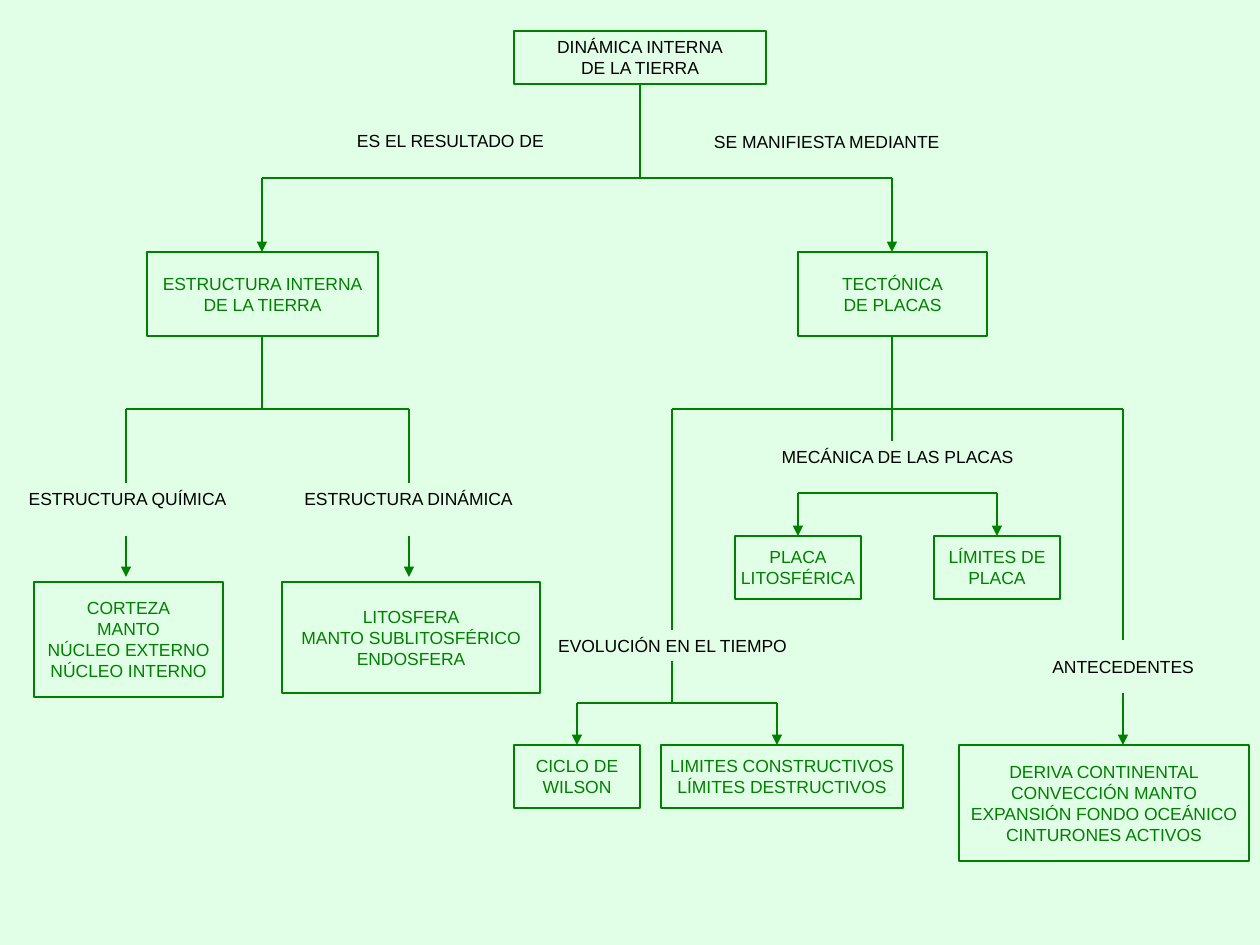
from dataclasses import dataclass

from lxml import etree
from pptx import Presentation
from pptx.dml.color import RGBColor
from pptx.enum.shapes import MSO_CONNECTOR, MSO_SHAPE
from pptx.enum.text import MSO_ANCHOR, PP_ALIGN
from pptx.oxml.ns import qn
from pptx.util import Emu, Pt

RECTANGLE = MSO_SHAPE.RECTANGLE
STRAIGHT = MSO_CONNECTOR.STRAIGHT
MIDDLE, TOP = MSO_ANCHOR.MIDDLE, MSO_ANCHOR.TOP
CENTER, LEFT = PP_ALIGN.CENTER, PP_ALIGN.LEFT


@dataclass(frozen=True)
class Theme:
    background: RGBColor = RGBColor(0xE1, 0xFF, 0xE6)
    green: RGBColor = RGBColor(0x00, 0x80, 0x00)
    black: RGBColor = RGBColor(0x00, 0x00, 0x00)
    font: str = "Arial"
    text_size: Pt = Pt(10)
    thin: Pt = Pt(0.75)
    thick: Pt = Pt(1.5)


THEME = Theme()
EMU_PER_PX = 914400 / 126


def px(*lengths):
    return [Emu(round(length * EMU_PER_PX)) for length in lengths]


def write_lines(shape, lines, color, alignment, anchor):
    frame = shape.text_frame
    frame.word_wrap = False
    frame.vertical_anchor = anchor
    frame.margin_left, frame.margin_right = px(11, 11)
    frame.margin_top, frame.margin_bottom = px(5, 5)
    for index, line in enumerate(lines):
        paragraph = frame.paragraphs[0] if index == 0 else frame.add_paragraph()
        paragraph.alignment = alignment
        run = paragraph.add_run()
        run.text = line
        run.font.name = THEME.font
        run.font.size = THEME.text_size
        run.font.color.rgb = color


presentation = Presentation()
presentation.slide_width, presentation.slide_height = px(1260, 945)
slide = presentation.slides.add_slide(presentation.slide_layouts[6])
slide.background.fill.solid()
slide.background.fill.fore_color.rgb = THEME.background

# Concept boxes: left, top, width, height, text colour, lines
boxes = [
    (514, 31, 252, 53, THEME.black, ["DINÁMICA INTERNA", "DE LA TIERRA"]),
    (147, 252, 231, 84, THEME.green, ["ESTRUCTURA INTERNA", "DE LA TIERRA"]),
    (798, 252, 189, 84, THEME.green, ["TECTÓNICA", "DE PLACAS"]),
    (34, 582, 189, 115, THEME.green,
     ["CORTEZA", "MANTO", "NÚCLEO EXTERNO", "NÚCLEO INTERNO"]),
    (282, 582, 258, 111, THEME.green,
     ["LITOSFERA", "MANTO SUBLITOSFÉRICO", "ENDOSFERA"]),
    (735, 536, 126, 63, THEME.green, ["PLACA", "LITOSFÉRICA"]),
    (934, 536, 126, 63, THEME.green, ["LÍMITES DE", "PLACA"]),
    (514, 745, 126, 63, THEME.green, ["CICLO DE", "WILSON"]),
    (661, 745, 242, 63, THEME.green,
     ["LIMITES CONSTRUCTIVOS", "LÍMITES DESTRUCTIVOS"]),
    (959, 745, 290, 116, THEME.green,
     ["DERIVA CONTINENTAL", "CONVECCIÓN MANTO",
      "EXPANSIÓN FONDO OCEÁNICO", "CINTURONES ACTIVOS"]),
]
for left, top, width, height, color, lines in boxes:
    box = slide.shapes.add_shape(RECTANGLE, *px(left, top, width, height))
    box.shadow.inherit = False
    box.fill.solid()
    box.fill.fore_color.rgb = THEME.background
    box.line.color.rgb = THEME.green
    box.line.width = THEME.thin
    write_lines(box, lines, color, CENTER, MIDDLE)

# Linking phrases: left, top, width, alignment, text
labels = [
    (346, 125, 217, LEFT, "ES EL RESULTADO DE"),
    (703, 126, 255, LEFT, "SE MANIFIESTA MEDIANTE"),
    (-12, 483, 279, CENTER, "ESTRUCTURA QUÍMICA"),
    (269, 483, 279, CENTER, "ESTRUCTURA DINÁMICA"),
    (758, 441, 279, CENTER, "MECÁNICA DE LAS PLACAS"),
    (533, 630, 279, CENTER, "EVOLUCIÓN EN EL TIEMPO"),
    (1039, 651, 168, CENTER, "ANTECEDENTES"),
]
for left, top, width, alignment, text in labels:
    label = slide.shapes.add_textbox(*px(left, top, width, 33))
    write_lines(label, [text], THEME.black, alignment, TOP)

# Branch bars: left, right, y
bars = [(262, 892, 178), (126, 409, 409), (672, 1123, 409),
        (798, 997, 493), (577, 777, 703)]
# Stems: x, top, bottom
stems = [(640, 84, 178), (262, 336, 409), (892, 336, 409),
         (126, 409, 483), (409, 409, 483), (672, 409, 630),
         (892, 409, 441), (1123, 409, 640), (672, 661, 703)]
# Arrows: x, top, bottom
arrows = [(262, 178, 252), (892, 178, 252), (126, 536, 577), (409, 536, 577),
          (798, 493, 536), (997, 493, 536), (577, 703, 745), (777, 703, 745),
          (1123, 693, 745)]

segments = [(left, y, right, y, THEME.thick, False) for left, right, y in bars]
for verticals, has_arrow in ((stems, False), (arrows, True)):
    segments += [(x, top, x, bottom, THEME.thin, has_arrow)
                 for x, top, bottom in verticals]

for x1, y1, x2, y2, weight, has_arrow in segments:
    connector = slide.shapes.add_connector(STRAIGHT, *px(x1, y1, x2, y2))
    connector.line.color.rgb = THEME.green
    connector.line.width = weight
    if has_arrow:
        outline = connector.line._get_or_add_ln()
        etree.SubElement(outline, qn("a:tailEnd"), type="triangle")
    etree.SubElement(connector._element.spPr, qn("a:effectLst"))

presentation.save("out.pptx")
